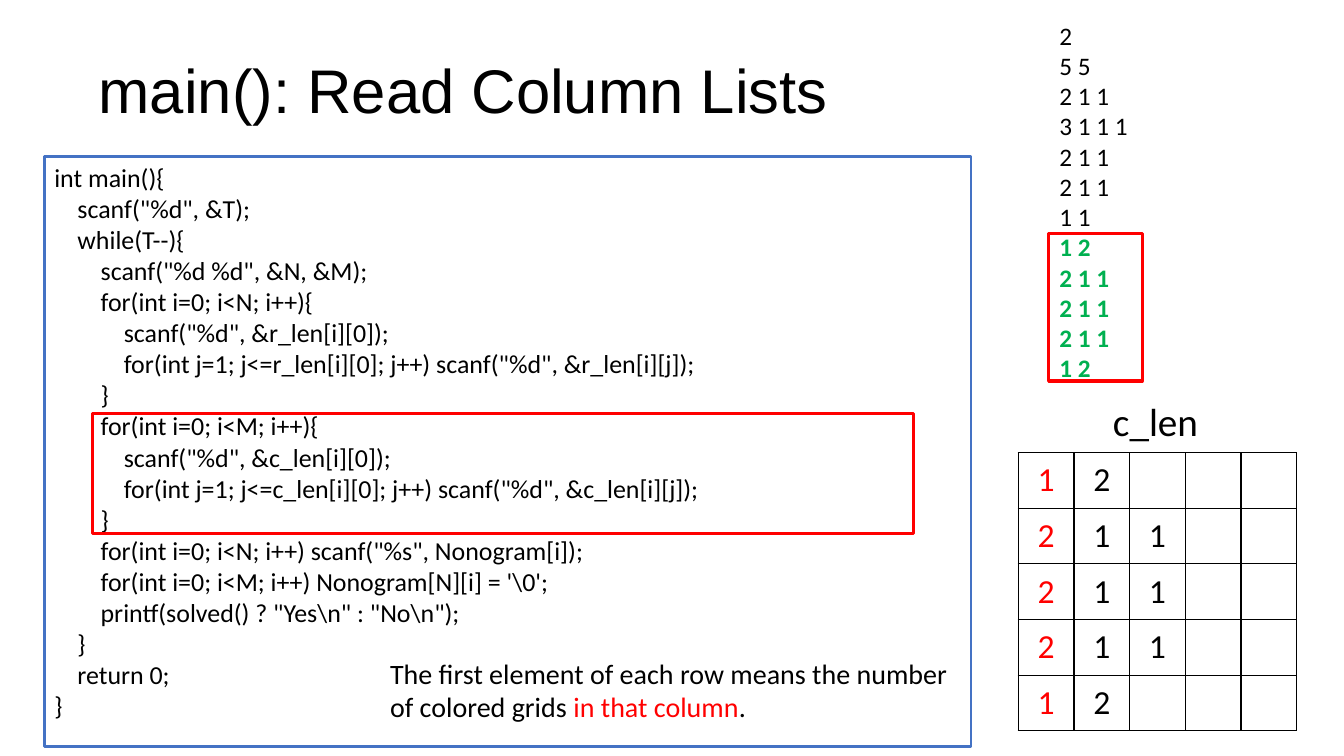
from lxml.etree import SubElement
from pptx import Presentation
from pptx.dml.color import RGBColor
from pptx.enum.shapes import MSO_SHAPE
from pptx.enum.text import MSO_ANCHOR, PP_ALIGN
from pptx.oxml.ns import qn
from pptx.util import Inches, Pt

BLACK, RED, GREEN, BLUE = "000000", "FF0000", "00B050", "4472C4"
INDENT = Inches(0.23)

CODE = r"""int main(){
    scanf("%d", &T);
    while(T--){
        scanf("%d %d", &N, &M);
        for(int i=0; i<N; i++){
            scanf("%d", &r_len[i][0]);
            for(int j=1; j<=r_len[i][0]; j++) scanf("%d", &r_len[i][j]);
        }
        for(int i=0; i<M; i++){
            scanf("%d", &c_len[i][0]);
            for(int j=1; j<=c_len[i][0]; j++) scanf("%d", &c_len[i][j]);
        }
        for(int i=0; i<N; i++) scanf("%s", Nonogram[i]);
        for(int i=0; i<M; i++) Nonogram[N][i] = '\0';
        printf(solved() ? "Yes\n" : "No\n");
    }
    return 0;
}"""
ROW_INPUT = ["2", "5 5", "2 1 1", "3 1 1 1", "2 1 1", "2 1 1", "1 1"]
COLUMN_INPUT = ["1 2", "2 1 1", "2 1 1", "2 1 1", "1 2"]

presentation = Presentation()
presentation.slide_width = Inches(13.33)
presentation.slide_height = Inches(7.5)
slide = presentation.slides.add_slide(presentation.slide_layouts[6])


def add_frame(left, top, width, height, color, weight):
    shape = slide.shapes.add_shape(
        MSO_SHAPE.RECTANGLE, Inches(left), Inches(top), Inches(width), Inches(height))
    shape.shadow.inherit = False
    shape.fill.background()
    shape.line.color.rgb = RGBColor.from_string(color)
    shape.line.width = Pt(weight)
    return shape


def write_lines(shape, lines, size, font="Calibri"):
    text_frame = shape.text_frame
    text_frame.word_wrap = True
    text_frame.vertical_anchor = MSO_ANCHOR.TOP
    text_frame.text = "\n".join(lines)
    for paragraph in text_frame.paragraphs:
        paragraph.alignment = PP_ALIGN.LEFT
        paragraph.font.size = Pt(size)
        paragraph.font.name = font
        paragraph.font.color.rgb = RGBColor.from_string(BLACK)
    return text_frame


code_lines = CODE.split("\n")
code_box = add_frame(0.44, 1.55, 9.19, 5.86, BLUE, 2)
code_text = write_lines(code_box, [line.lstrip() for line in code_lines], 18.5)
for line, paragraph in zip(code_lines, code_text.paragraphs):
    depth = (len(line) - len(line.lstrip())) // 4
    properties = paragraph._p.get_or_add_pPr()
    properties.set("marL", str(depth * INDENT))
    properties.set("indent", "0")

title_box = slide.shapes.add_textbox(Inches(0.88), Inches(0.2), Inches(11.5), Inches(1.45))
title_text = write_lines(title_box, ["main(): Read Column Lists"], 44, "Arial")
title_text.vertical_anchor = MSO_ANCHOR.MIDDLE
title_text.paragraphs[0].line_spacing = 0.9

grid_size = len(COLUMN_INPUT)
table = slide.shapes.add_table(
    grid_size, grid_size, Inches(10.1), Inches(4.49), Inches(2.76), Inches(2.76)).table
table.first_row = False
table.horz_banding = False
for row, entry in enumerate(COLUMN_INPUT):
    values = entry.split()
    for column in range(grid_size):
        cell = table.cell(row, column)
        cell.vertical_anchor = MSO_ANCHOR.MIDDLE
        cell_properties = cell._tc.get_or_add_tcPr()
        for side in ("a:lnL", "a:lnR", "a:lnT", "a:lnB"):
            border = SubElement(cell_properties, qn(side), w=str(Pt(1)))
            SubElement(SubElement(border, qn("a:solidFill")), qn("a:srgbClr"), val=BLACK)
        cell.fill.background()
        if column < len(values):
            cell.text = values[column]
            paragraph = cell.text_frame.paragraphs[0]
            paragraph.alignment = PP_ALIGN.CENTER
            paragraph.font.size = Pt(24)
            paragraph.font.name = "Calibri"
            paragraph.font.color.rgb = RGBColor.from_string(BLACK if column else RED)

table_label = slide.shapes.add_textbox(Inches(10.94), Inches(3.89), Inches(1.08), Inches(0.57))
write_lines(table_label, ["c_len"], 28)

note_box = slide.shapes.add_textbox(Inches(3.77), Inches(6.46), Inches(5.81), Inches(0.77))
note_text = write_lines(
    note_box, ["The first element of each row means the number of colored grids "], 20)
note = note_text.paragraphs[0]
emphasis = note.add_run()
emphasis.text = "in that column"
emphasis.font.color.rgb = RGBColor.from_string(RED)
note.add_run().text = "."
for run in note.runs:
    run.font.size = Pt(20)
    run.font.name = "Calibri"

add_frame(0.92, 4.1, 8.14, 1.19, RED, 2.25)
add_frame(10.4, 2.32, 0.93, 1.46, RED, 2.25)

input_box = slide.shapes.add_textbox(Inches(10.41), Inches(0.15), Inches(1.17), Inches(3.74))
input_text = write_lines(input_box, ROW_INPUT + COLUMN_INPUT, 18)
for paragraph in input_text.paragraphs[len(ROW_INPUT):]:
    paragraph.font.bold = True
    paragraph.font.color.rgb = RGBColor.from_string(GREEN)

presentation.save("out.pptx")
